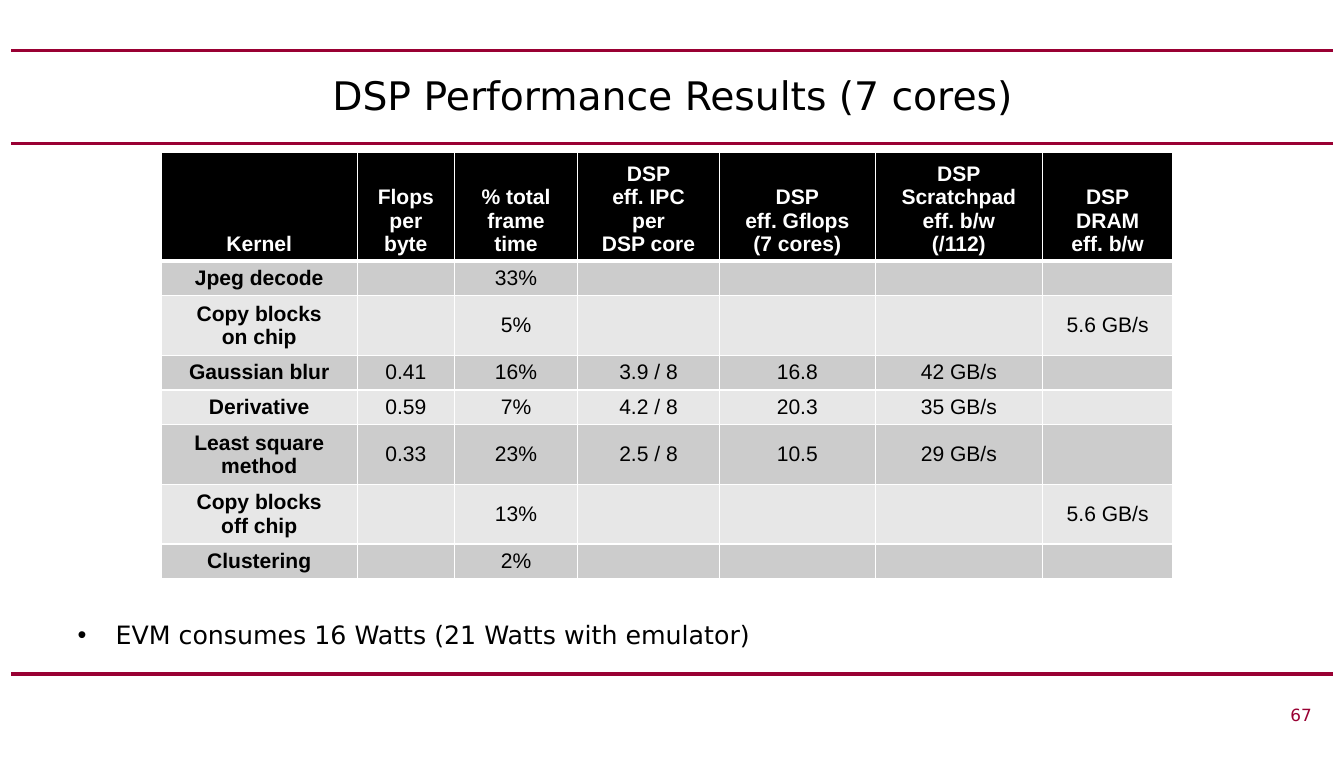
from lxml.etree import SubElement
from pptx import Presentation
from pptx.dml.color import RGBColor
from pptx.enum.shapes import MSO_CONNECTOR
from pptx.enum.text import MSO_ANCHOR, MSO_AUTO_SIZE, PP_ALIGN
from pptx.oxml.ns import qn
from pptx.util import Cm, Pt

TITLE = "DSP Performance Results (7 cores)"
NOTE = "EVM consumes 16 Watts (21 Watts with emulator)"
PAGE = "67"
ROWS = [
    ("Kernel", "Flops\nper\nbyte", "% total\nframe\ntime", "DSP\neff. IPC\nper\nDSP core",
     "DSP\neff. Gflops\n(7 cores)", "DSP\nScratchpad\neff. b/w\n(/112)", "DSP\nDRAM\neff. b/w"),
    ("Jpeg decode", "", "33%", "", "", "", ""),
    ("Copy blocks\non chip", "", "5%", "", "", "", "5.6 GB/s"),
    ("Gaussian blur", "0.41", "16%", "3.9 / 8", "16.8", "42 GB/s", ""),
    ("Derivative", "0.59", "7%", "4.2 / 8", "20.3", "35 GB/s", ""),
    ("Least square\nmethod", "0.33", "23%", "2.5 / 8", "10.5", "29 GB/s", ""),
    ("Copy blocks\noff chip", "", "13%", "", "", "", "5.6 GB/s"),
    ("Clustering", "", "2%", "", "", "", ""),
]
COL_WIDTHS = [4.93, 2.44, 3.1, 3.56, 3.92, 4.2, 3.28]
ROW_HEIGHTS = {1: 0.87, 2: 1.5, 4: 2.74}
RULES = [1.27, 3.61, 16.94]
COLORS = {"rule": "990033", "text": "000000", "header": "000000", "header_text": "FFFFFF",
          "odd": "CCCCCC", "even": "E7E7E7", "border": "FFFFFF"}


def rgb(name):
    return RGBColor.from_string(COLORS[name])


def style(p, size, color, font="DejaVu Sans", bold=False, align=None):
    p.alignment = align
    f = p.font
    f.size, f.name, f.bold = Pt(size), font, bold
    f.color.rgb = rgb(color)


def fill_placeholder(sp, text, top, height, anchor, size, align):
    sp.left, sp.top, sp.width, sp.height = Cm(1.7), Cm(top), Cm(30.4), Cm(height)
    tf = sp.text_frame
    tf.text = text
    tf.auto_size = MSO_AUTO_SIZE.NONE
    tf.vertical_anchor = anchor
    p = tf.paragraphs[0]
    p.space_before = Pt(0)
    style(p, size, "text", align=align)


def add_rule(s, y):
    line = s.shapes.add_connector(MSO_CONNECTOR.STRAIGHT, Cm(0.28), Cm(y), Cm(33.5), Cm(y))
    line.line.color.rgb = rgb("rule")
    line.line.width = Pt(2.25)
    SubElement(line._element.spPr, qn("a:effectLst"))


def add_borders(cell, widths):
    tc_pr = cell._tc.get_or_add_tcPr()
    for side, width in widths.items():
        ln = SubElement(tc_pr, qn(f"a:ln{side}"), w=str(Pt(width)))
        solid = SubElement(ln, qn("a:solidFill"))
        SubElement(solid, qn("a:srgbClr"), val=COLORS["border"])


def fill_cell(cell, text, row, col):
    header = row == 0
    add_borders(cell, {"L": 1, "R": 1, "T": 3 if row == 1 else 1, "B": 3 if header else 1})
    cell.fill.solid()
    cell.fill.fore_color.rgb = rgb("header" if header else "odd" if row % 2 else "even")
    cell.margin_left = cell.margin_right = Cm(0.33)
    cell.margin_top = cell.margin_bottom = Cm(0.13)
    cell.vertical_anchor = MSO_ANCHOR.BOTTOM if header else MSO_ANCHOR.MIDDLE
    cell.text = text
    for p in cell.text_frame.paragraphs:
        style(p, 15, "header_text" if header else "text", "Arial", header or col == 0,
              PP_ALIGN.CENTER)
        if not text:
            SubElement(p._p, qn("a:endParaRPr"), sz="1500")


def add_results(s):
    heights = [ROW_HEIGHTS[max(text.count("\n") + 1 for text in row)] for row in ROWS]
    table = s.shapes.add_table(len(ROWS), len(COL_WIDTHS), Cm(4.05), Cm(3.82),
                               Cm(sum(COL_WIDTHS)), Cm(sum(heights))).table
    for column, width in zip(table.columns, COL_WIDTHS):
        column.width = Cm(width)
    for r, (height, texts) in enumerate(zip(heights, ROWS)):
        table.rows[r].height = Cm(height)
        for c, text in enumerate(texts):
            fill_cell(table.cell(r, c), text, r, c)


def add_page_number(s):
    tf = s.shapes.add_textbox(Cm(9.58), Cm(17.58), Cm(23.64), Cm(0.84)).text_frame
    tf.word_wrap = True
    tf.text = PAGE
    style(tf.paragraphs[0], 12, "rule", align=PP_ALIGN.RIGHT)


def main():
    prs = Presentation()
    prs.slide_width, prs.slide_height = Cm(33.78), Cm(19.05)
    s = prs.slides.add_slide(prs.slide_layouts[1])
    for y in RULES:
        add_rule(s, y)
    fill_placeholder(s.shapes.title, TITLE, 1.27, 2.21, MSO_ANCHOR.MIDDLE, 28, PP_ALIGN.CENTER)
    fill_placeholder(s.placeholders[1], NOTE, 15.44, 1.07, MSO_ANCHOR.TOP, 18, PP_ALIGN.LEFT)
    add_results(s)
    add_page_number(s)
    prs.save("out.pptx")


if __name__ == "__main__":
    main()
